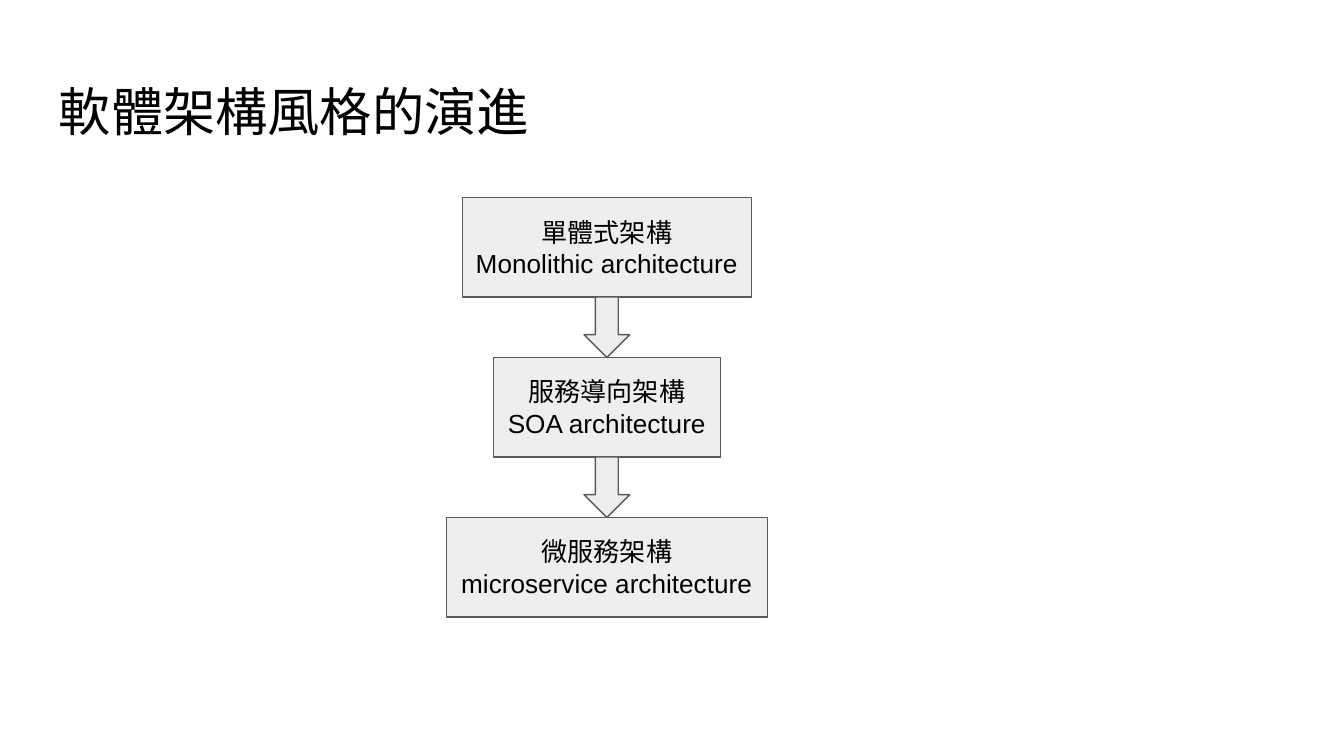
from lxml.etree import SubElement as Sub
from pptx import Presentation as Deck
from pptx.dml.color import RGBColor as Rgb
from pptx.enum.shapes import MSO_SHAPE as Kind
from pptx.enum.text import MSO_ANCHOR as Anchor, PP_ALIGN as Align
from pptx.oxml.ns import qn
from pptx.util import Pt

FACE = "Arial"
MID, TOP = 325.1, 105.84
HIGH, GAP = 53.3, 32.4
STAGES = [
    (154.8, ["單體式架構", "Monolithic architecture"]),
    (121.7, ["服務導向架構", "SOA architecture"]),
    (172.1, ["微服務架構", "microservice architecture"]),
]


def tint(part, code):
    part.rgb = Rgb.from_string(code)


def apply(item, form):
    for key, val in form.items():
        setattr(item, key, val)


def write(shape, lines, size, align, frame):
    text = shape.text_frame
    sides = ("left", "right", "top", "bottom")
    apply(text, {f"margin_{side}": Pt(7.2) for side in sides} | frame)
    for i, line in enumerate(lines):
        para = text.add_paragraph() if i else text.paragraphs[0]
        para.alignment = align
        run = para.add_run()
        run.text = line
        apply(run.font, {"name": FACE, "size": Pt(size)})
        tint(run.font.color, "000000")
        Sub(run._r.get_or_add_rPr(), qn("a:ea"), typeface=FACE)


def title(slide, words):
    box = slide.shapes.add_textbox(Pt(24.5), Pt(35.3), Pt(671), Pt(45.4))
    write(box, [words], 28, Align.LEFT,
          {"word_wrap": True, "vertical_anchor": Anchor.TOP})


def block(slide, kind, top, wide, high):
    left = MID - wide / 2
    shape = slide.shapes.add_shape(kind, Pt(left), Pt(top), Pt(wide), Pt(high))
    shape.shadow.inherit = False
    shape.fill.solid()
    tint(shape.fill.fore_color, "EEEEEE")
    tint(shape.line.color, "595959")
    shape.line.width = Pt(0.75)
    return shape


def stage(slide, top, wide, lines):
    box = block(slide, Kind.RECTANGLE, top, wide, HIGH)
    write(box, lines, 14, Align.CENTER,
          {"word_wrap": False, "vertical_anchor": Anchor.MIDDLE})


def main():
    deck = Deck()
    apply(deck, {"slide_width": Pt(720), "slide_height": Pt(405)})
    slide = deck.slides.add_slide(deck.slide_layouts[6])
    title(slide, "軟體架構風格的演進")
    for i, (wide, lines) in enumerate(STAGES):
        top = TOP + i * (HIGH + GAP)
        stage(slide, top, wide, lines)
        if i:
            block(slide, Kind.DOWN_ARROW, top - GAP, 24.5, GAP)
    deck.save("out.pptx")


main()
